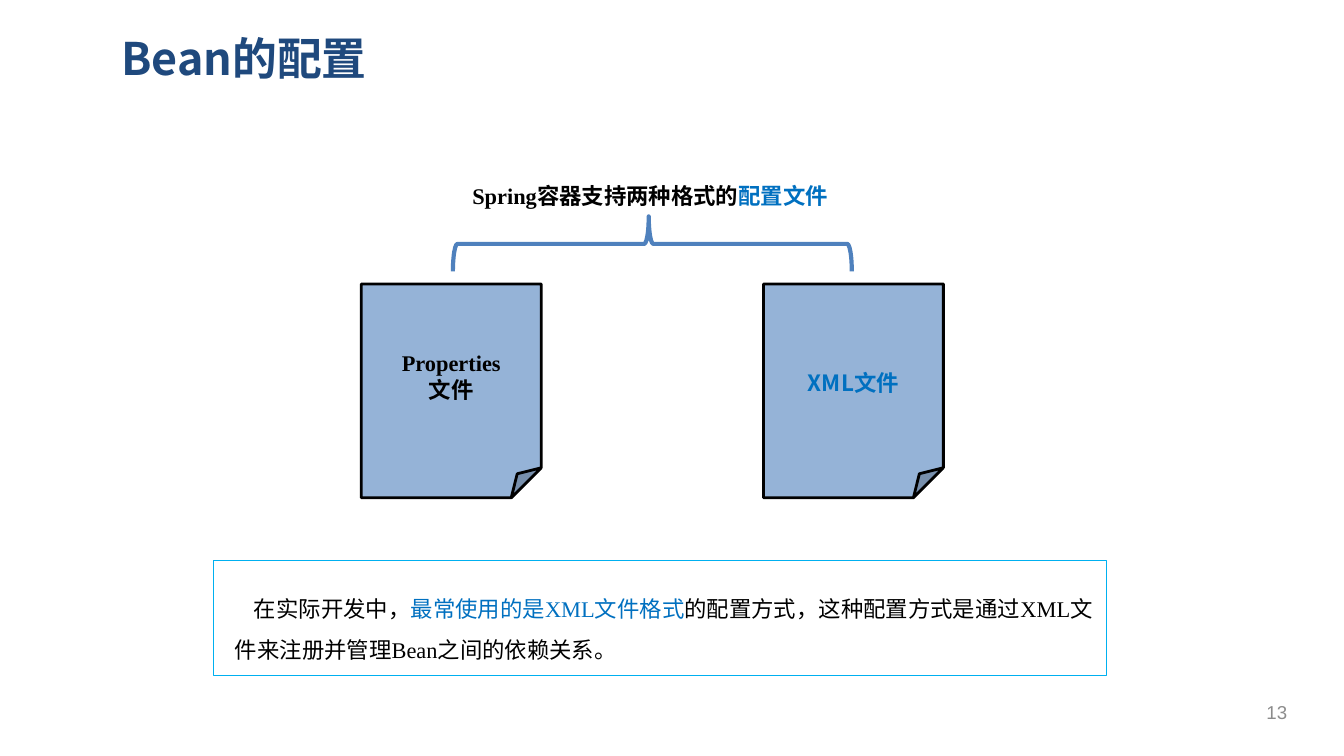
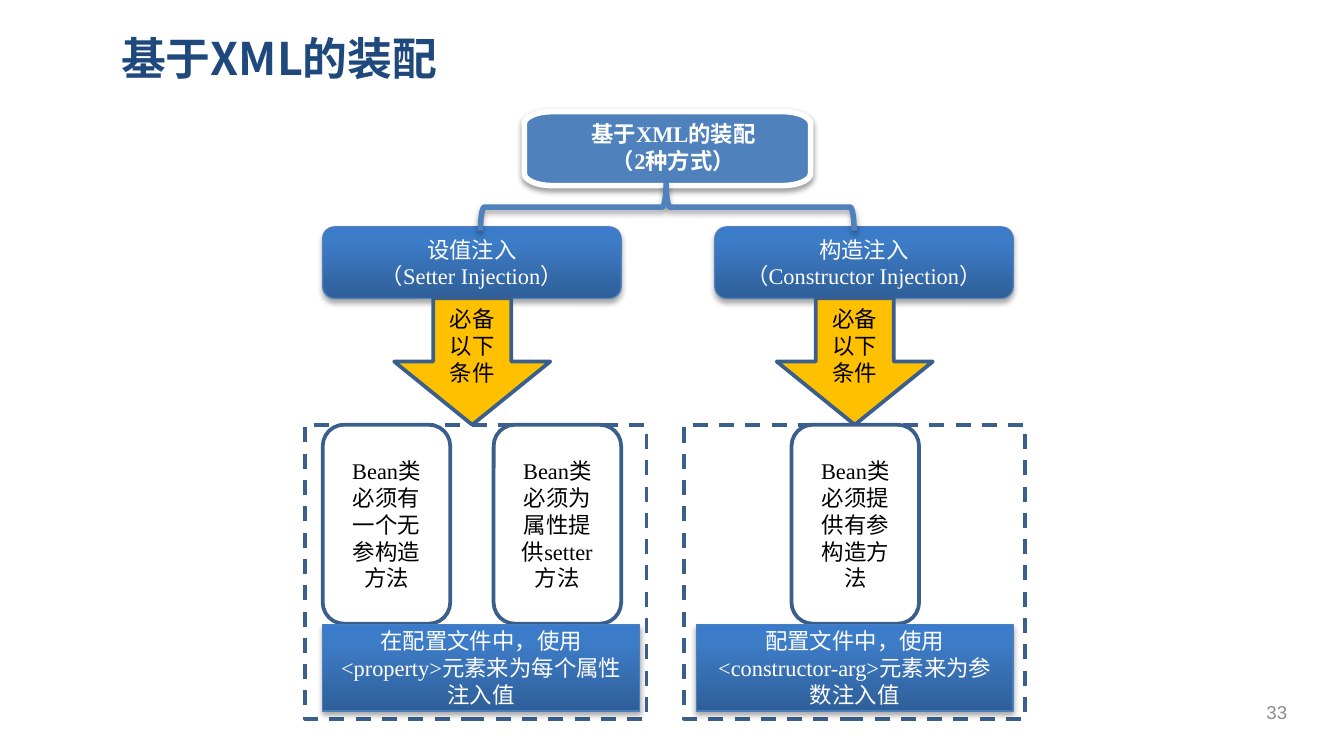
from copy import deepcopy
from math import cos, pi, sin

from lxml.etree import SubElement
from pptx import Presentation
from pptx.dml.color import RGBColor
from pptx.enum.dml import MSO_LINE
from pptx.enum.shapes import MSO_SHAPE as Shape
from pptx.enum.text import MSO_ANCHOR as Anchor, MSO_AUTO_SIZE as AutoSize, PP_ALIGN as Align
from pptx.oxml.ns import qn
from pptx.util import Cm, Pt

SANS = "Noto Sans CJK SC"
SERIF = "Times New Roman"
COLOURS = {
    "title": "1F497D",
    "number": "8C8C8C",
    "black": "000000",
    "white": "FFFFFF",
    "highlight": "0070C0",
    "brace": "4F81BD",
    "file": "95B3D7",
    "note_line": "00B0F0",
    "outline": "3A5F8C",
    "arrow": "FFC000",
    "bar_line": "4B7EBC",
}
BAR_GRADIENT = [(0, "2F5F99"), (0.8, "3D7CC7"), (1, "3A7CCB")]


def rgb(name):
    return RGBColor.from_string(COLOURS[name])


def lengths(box):
    return [Cm(value) for value in box]


def write(frame, paragraphs, size=12, bold=False, align=Align.CENTER, spacing=None):
    """Fill a text frame; each paragraph is a list of (text, colour, font) runs."""
    frame.word_wrap = True
    for index, runs in enumerate(paragraphs):
        paragraph = frame.add_paragraph() if index else frame.paragraphs[0]
        paragraph.alignment = align
        if spacing:
            paragraph.line_spacing = spacing
        for text, colour, font in runs:
            run = paragraph.add_run()
            run.text = text
            run.font.size = Pt(size)
            run.font.bold = bold
            run.font.name = font
            run.font.color.rgb = rgb(colour)
            east_asian = SubElement(run.font._element, qn("a:ea"))
            east_asian.set("typeface", SANS)


def serif_lines(colour, *lines):
    return [[(line, colour, SERIF)] for line in lines]


def add_text(shapes, box, paragraphs, **style):
    text_box = shapes.add_textbox(*lengths(box))
    write(text_box.text_frame, paragraphs, **style)
    text_box.text_frame.auto_size = AutoSize.SHAPE_TO_FIT_TEXT
    return text_box


def paint(shape, fill, line, width):
    shape.shadow.inherit = False
    if fill:
        shape.fill.solid()
        shape.fill.fore_color.rgb = rgb(fill)
    else:
        shape.fill.background()
    shape.line.color.rgb = rgb(line)
    shape.line.width = Pt(width)


def add_box(shapes, kind, box, fill, line, width, paragraphs=(), **style):
    shape = shapes.add_shape(kind, *lengths(box))
    paint(shape, fill, line, width)
    shape.text_frame.vertical_anchor = Anchor.MIDDLE
    write(shape.text_frame, paragraphs, **style)
    return shape


def add_shadow(shape, distance=1.8, opacity=35):
    effects = shape._element.spPr.find(qn("a:effectLst"))
    shadow = SubElement(effects, qn("a:outerShdw"), blurRad=str(Pt(3.1)),
                        dist=str(Pt(distance)), dir="5400000", rotWithShape="0")
    colour = SubElement(shadow, qn("a:srgbClr"), val=COLOURS["black"])
    SubElement(colour, qn("a:alpha"), val=str(opacity * 1000))


def add_bar(shapes, kind, box, lines):
    """Blue gradient bar with white text and a shadow."""
    bar = add_box(shapes, kind, box, None, "bar_line", 0.75, serif_lines("white", *lines))
    bar.fill.gradient()
    bar.fill.gradient_angle = 90
    stop_list = bar._element.spPr.find(qn("a:gradFill")).find(qn("a:gsLst"))
    stop_list.append(deepcopy(stop_list[-1]))
    for stop, (position, colour) in zip(bar.fill.gradient_stops, BAR_GRADIENT):
        stop.position = position
        stop.color.rgb = RGBColor.from_string(colour)
    add_shadow(bar)


def add_brace(shapes, kind, box, rotation, middle, width):
    """Brace lying across the box with its point upwards."""
    left, top, length, depth = box
    shift = (length - depth) / 2
    brace = add_box(shapes, kind, (left + shift, top - shift, depth, length),
                    None, "brace", width)
    brace.rotation = rotation
    brace.adjustments[0] = 0.083
    brace.adjustments[1] = middle
    return brace


def add_titled_slide(presentation, title, number):
    slide = presentation.slides.add_slide(presentation.slide_layouts[5])
    heading = slide.shapes.title
    heading.left, heading.top, heading.width, heading.height = lengths((2.11, 0.46, 22.2, 1.27))
    frame = heading.text_frame
    frame.margin_left = frame.margin_right = Cm(0.18)
    frame.margin_top = frame.margin_bottom = Cm(0.1)
    write(frame, [[(title, "title", SANS)]], size=24, bold=True, align=Align.LEFT)
    number_box = slide.shapes.add_textbox(*lengths((23.52, 13.08, 1.22, 0.76)))
    number_box.text_frame.vertical_anchor = Anchor.MIDDLE
    write(number_box.text_frame, [[(number, "number", "Arial")]], size=10)
    return slide


def add_file_formats(shapes, box):
    left, top, width, height = box
    caption = [("Spring容器支持两种格式的", "black", SERIF), ("配置文件", "highlight", SANS)]
    add_text(shapes, (left - 0.23, top, 11.38, 0.94), [caption], bold=True, spacing=1.5)
    add_brace(shapes, Shape.RIGHT_BRACE, (left + 1.73, top + 1.02, 7.54, 1.04), 270, 0.491, 2.25)
    page_width, page_height = 3.4, 4.04
    page_top = top + height - page_height
    files = [
        (left, serif_lines("black", "Properties", "文件"), None),
        (left + width - page_width, [[("XML文件", "highlight", SANS)]], 1.5),
    ]
    for page_left, paragraphs, spacing in files:
        add_box(shapes, Shape.FOLDED_CORNER, (page_left, page_top, page_width, page_height),
                "file", "black", 1.5, paragraphs, bold=True, spacing=spacing)


def add_note(shapes, box):
    left, top, width, height = box
    group = shapes.add_group_shape()
    panel = add_box(group.shapes, Shape.RECTANGLE, box, "white", "note_line", 0.75)
    colour = panel._element.spPr.find(qn("a:solidFill")).find(qn("a:srgbClr"))
    SubElement(colour, qn("a:alpha"), val="90000")
    runs = [
        ("在实际开发中，", "black", SERIF),
        ("最常使用的是", "highlight", SANS),
        ("XML", "highlight", SERIF),
        ("文件格式", "highlight", SANS),
        ("的配置方式，这种配置方式是通过XML文件来注册并管理Bean之间的依赖关系。", "black", SERIF),
    ]
    note = add_text(group.shapes, (left + 0.15, top + 0.08, width - 0.15, height - 0.3),
                    [runs], align=Align.LEFT, spacing=1.5)
    note.text_frame.margin_top = Cm(0.33)
    note.text_frame.paragraphs[0]._p.get_or_add_pPr().set("indent", str(Cm(0.36)))


def add_root(shapes, box):
    """Plate with elliptical corners that names the two ways of wiring."""
    left, top, width, height = box
    radius_x, radius_y, steps = 0.53, 0.23, 8
    right, bottom = left + width, top + height
    centres = [
        (right - radius_x, bottom - radius_y),
        (left + radius_x, bottom - radius_y),
        (left + radius_x, top + radius_y),
        (right - radius_x, top + radius_y),
    ]
    points = []
    for quarter, (x, y) in enumerate(centres):
        for step in range(steps + 1):
            angle = (quarter + step / steps) * pi / 2
            points.append((Cm(x + radius_x * cos(angle)), Cm(y + radius_y * sin(angle))))
    group = shapes.add_group_shape()
    builder = group.shapes.build_freeform(*points[0])
    builder.add_line_segments(points[1:], close=True)
    plate = builder.convert_to_shape()
    paint(plate, "brace", "white", 3)
    add_shadow(plate, 1.6, 38)
    add_text(group.shapes, (left + 0.28, top + 0.03, 5.08, 1.27),
             serif_lines("white", "基于XML的装配", "（2种方式）"), bold=True)


def add_injection(shapes, box, header, cards, banner, offsets):
    """Column of header, arrow, condition cards and banner; offsets are from its left edge."""
    left, top, width, height = box
    frame_top = top + 3.74
    frame = add_box(shapes, Shape.RECTANGLE, (left, frame_top, width, height - 3.74),
                    "white", "outline", 2)
    frame.line.dash_style = MSO_LINE.DASH
    add_bar(shapes, Shape.ROUNDED_RECTANGLE, (left + offsets["header"], top, 5.64, 1.35), header)
    add_box(shapes, Shape.DOWN_ARROW, (left + offsets["arrow"], top + 1.35, 2.95, 2.39),
            "arrow", "outline", 2, serif_lines("black", "必备以下条件"))
    for offset, text in zip(offsets["cards"], cards):
        add_box(shapes, Shape.ROUNDED_RECTANGLE, (left + offset, frame_top, 2.41, 3.76),
                "white", "outline", 2, serif_lines("black", text))
    add_bar(shapes, Shape.RECTANGLE, (left + offsets["banner"], top + 7.52, 5.99, 1.63), [banner])


def build_configuration_slide(presentation):
    slide = add_titled_slide(presentation, "Bean的配置", "13")
    add_file_formats(slide.shapes, (6.83, 3.07, 11, 6.34))
    add_note(slide.shapes, (4.04, 10.59, 16.87, 2.18))


def build_wiring_slide(presentation):
    slide = add_titled_slide(presentation, "基于XML的装配", "33")
    shapes = slide.shapes
    add_root(shapes, (9.91, 2.11, 5.41, 1.4))
    add_injection(
        shapes, (5.77, 4.29, 6.45, 9.3),
        ["设值注入", "（Setter Injection）"],
        ["Bean类必须有一个无参构造方法", "Bean类必须为属性提供setter方法"],
        "在配置文件中，使用<property>元素来为每个属性注入值",
        {"header": 0.33, "arrow": 1.68, "cards": [0.33, 3.56], "banner": 0.33})
    add_injection(
        shapes, (12.93, 4.29, 6.45, 9.3),
        ["构造注入", "（Constructor Injection）"],
        ["Bean类必须提供有参构造方法"],
        "配置文件中，使用<constructor-arg>元素来为参数注入值",
        {"header": 0.58, "arrow": 1.75, "cards": [2.03], "banner": 0.23})
    brace = add_brace(shapes, Shape.LEFT_BRACE, (9.08, 3.47, 7.06, 0.89), 90, 0.503, 3)
    add_shadow(brace)


def main():
    presentation = Presentation()
    presentation.slide_width = Cm(25.4)
    presentation.slide_height = Cm(14.29)
    build_configuration_slide(presentation)
    build_wiring_slide(presentation)
    presentation.save("out.pptx")


if __name__ == "__main__":
    main()
